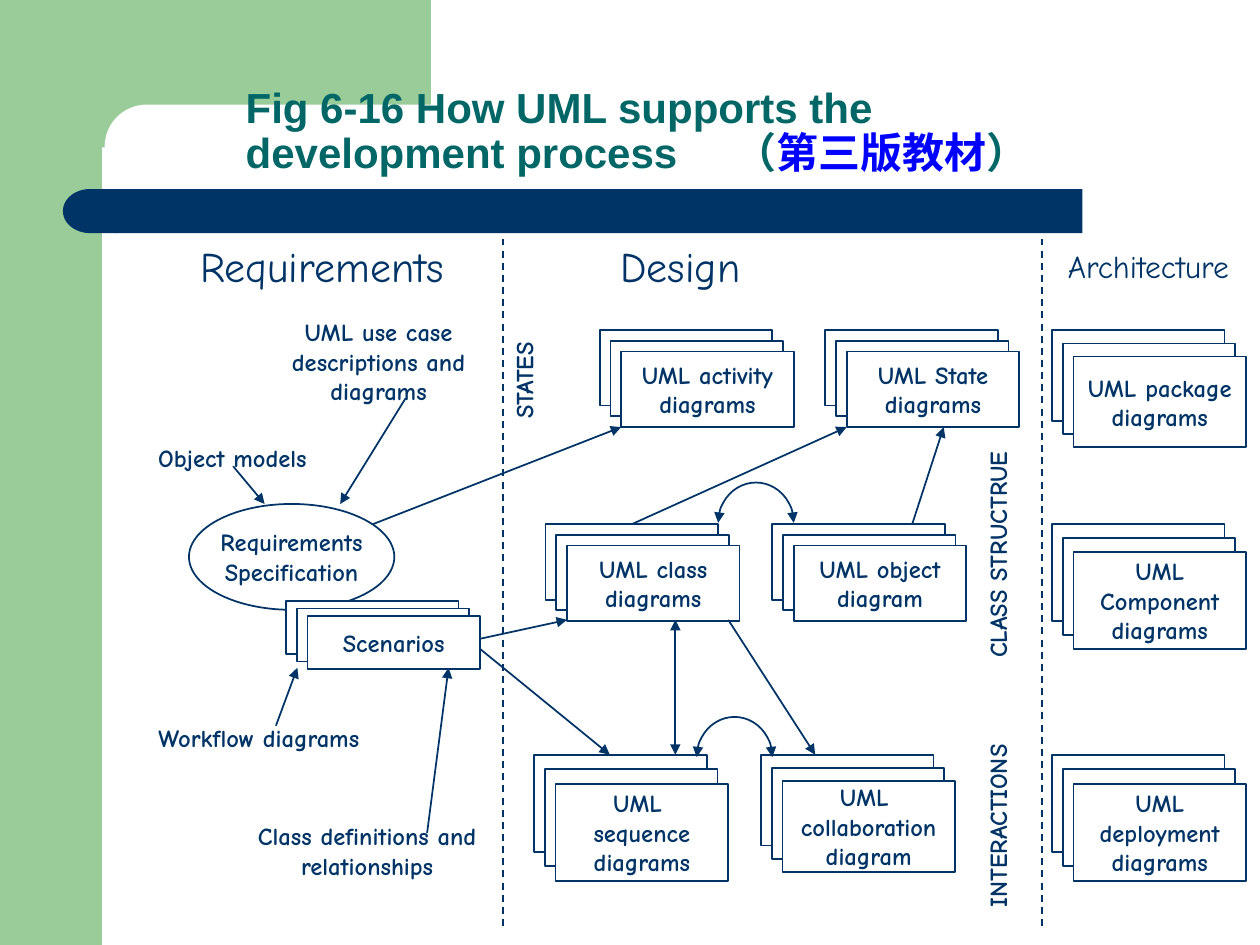
import pptx
import pptx.util
import pptx.dml.color
import pptx.enum.dml
import pptx.enum.shapes
import pptx.enum.text
import pptx.oxml.ns
import lxml.etree

Inches, Pt = pptx.util.Inches, pptx.util.Pt
KIND = pptx.enum.shapes.MSO_SHAPE
ALIGN = pptx.enum.text.PP_ALIGN
ANCHOR = pptx.enum.text.MSO_ANCHOR
qn = pptx.oxml.ns.qn
NAVY, GREEN, TEAL, WHITE, BLUE = "003366", "99CC99", "006666", "FFFFFF", "0000FF"
TOP = 1.7


def tint(target, code):
    """Set a colour from a hex string."""
    target.rgb = pptx.dml.color.RGBColor.from_string(code)


def put(slide, kind, box, fill=WHITE, line=NAVY):
    """Add a preset shape without shadow."""
    shape = slide.shapes.add_shape(kind, *map(Inches, box))
    shape.shadow.inherit = False
    if fill:
        shape.fill.solid()
        tint(shape.fill.fore_color, fill)
    else:
        shape.fill.background()
    if line:
        tint(shape.line.color, line)
        shape.line.width = Pt(1)
    else:
        shape.line.fill.background()
    return shape


def write(frame, lines, size=14, bold=True):
    """Fill a text frame with centred paragraphs."""
    for num, words in enumerate(lines):
        para = frame.add_paragraph() if num else frame.paragraphs[0]
        para.alignment = ALIGN.CENTER
        run = para.add_run()
        run.text = words
        run.font.name, run.font.size, run.font.bold = "Comic Neue", Pt(size), bold
        tint(run.font.color, NAVY)


def label(slide, box, words, size=14, bold=True):
    """Add a wrapped text box."""
    frame = slide.shapes.add_textbox(*map(Inches, box)).text_frame
    frame.word_wrap = True
    write(frame, [words], size, bold)


def upright(slide, box, words):
    """Add a label that reads from bottom to top."""
    shape = slide.shapes.add_textbox(*map(Inches, box))
    shape.rotation = 180
    shape.text_frame.word_wrap = False
    shape.text_frame._txBody.bodyPr.set("vert", "eaVert")
    write(shape.text_frame, [words])


def node(slide, kind, box, lines):
    """Add an outlined shape with centred lines of text."""
    shape = put(slide, kind, box)
    frame = shape.text_frame
    frame.word_wrap = False
    frame.vertical_anchor = ANCHOR.MIDDLE
    write(frame, lines)


def stack(slide, left, top, high, drop, lines):
    """Add three shifted cards, text on the front one; return the back one."""
    back = put(slide, KIND.RECTANGLE, (left, top, 1.37, high))
    put(slide, KIND.RECTANGLE, (left + 0.17 / 2, top + drop / 2, 1.37, high))
    node(slide, KIND.RECTANGLE, (left + 0.17, top + drop, 1.37, high), lines)
    return back


def tips(shape, *ends):
    """Put triangle arrowheads on the given ends of a line."""
    line = shape._element.spPr.find(qn("a:ln"))
    for end in ends:
        lxml.etree.SubElement(line, qn(f"a:{end}")).set("type", "triangle")


def link(slide, x1, y1, x2, y2, ends=("tailEnd",), dash=False):
    """Add a straight line with arrowheads or dashes."""
    line = slide.shapes.add_connector(
        pptx.enum.shapes.MSO_CONNECTOR.STRAIGHT, *map(Inches, (x1, y1, x2, y2)))
    tint(line.line.color, NAVY)
    line.line.width = Pt(1)
    if dash:
        line.line.dash_style = pptx.enum.dml.MSO_LINE.DASH
    tips(line, *ends)
    lxml.etree.SubElement(line._element.spPr, qn("a:effectLst"))
    return line


def arch(slide, left, top):
    """Add a half circle with an arrowhead at both ends."""
    arc = put(slide, KIND.ARC, (left, top, 0.6, 0.64), None)
    arc.adjustments[0], arc.adjustments[1] = 108, 0
    tips(arc, "headEnd", "tailEnd")


def border(slide, left, top):
    """Add the dashed line at the left of a region."""
    link(slide, left, top, left, top + 5.67, (), True)


def backdrop(slide, left, top):
    """Draw the green corner and the navy bar."""
    for kind, x, y, wide, high, fill in (
            (KIND.RECTANGLE, 0, 0, 0.81, 7.5, GREEN),
            (KIND.RECTANGLE, 0.73, 0, 2.69, 1.17, GREEN),
            (KIND.ROUNDED_RECTANGLE, 0.83, 0.83, 5.58, 0.67, WHITE),
            (KIND.RECTANGLE, 0.92, 1.5, 7.67, 0.35, NAVY),
            (KIND.FLOWCHART_DELAY, 0.5, 1.5, 0.43, 0.35, NAVY)):
        shape = put(slide, kind, (left + x, top + y, wide, high), fill, None)
        if kind == KIND.ROUNDED_RECTANGLE:
            shape.adjustments[0] = 0.5
        if kind == KIND.FLOWCHART_DELAY:
            shape._element.spPr.find(qn("a:xfrm")).set("flipH", "1")


def heading(slide, left, top, wide, high):
    """Move the title placeholder to the front and fill it."""
    title = slide.shapes.title
    slide.shapes._spTree.append(title._element)
    title.left, title.top, title.width, title.height = map(
        Inches, (left, top, wide, high))
    frame = title.text_frame
    frame.word_wrap = True
    frame.auto_size = pptx.enum.text.MSO_AUTO_SIZE.NONE
    frame.vertical_anchor = ANCHOR.BOTTOM
    para = frame.paragraphs[0]
    para.alignment, para.line_spacing = ALIGN.LEFT, 0.9
    tabs = lxml.etree.SubElement(para._p.get_or_add_pPr(), qn("a:tabLst"))
    stop = lxml.etree.SubElement(tabs, qn("a:tab"))
    stop.set("pos", str(Inches(3.88)))
    stop.set("algn", "l")
    for words, code in (
            ("Fig 6-16 How UML supports the development process\t（", TEAL),
            ("第三版教材", BLUE), ("）", TEAL)):
        run = para.add_run()
        run.text = words
        run.font.name, run.font.size, run.font.bold = "Arial", Pt(24), True
        tint(run.font.color, code)


def needs(slide, left, top):
    """Draw the requirements region."""
    label(slide, (left + 0.48, top + 0.16, 2.35, 0.5), "Requirements", 24, False)
    node(slide, KIND.OVAL, (left + 0.6, top + 2.3, 1.63, 0.84),
         ["Requirements", "Specification"])
    stack(slide, left + 1.37, top + 3.07, 0.42, 0.12, ["Scenarios"])
    for x, y, wide, high, words in (
            (0.09, 1.77, 1.71, 0.31, "Object models"),
            (1.29, 0.77, 1.63, 0.73, "UML use case descriptions and diagrams"),
            (0, 3.99, 2.31, 0.31, "Workflow diagrams"),
            (0.86, 4.77, 2.31, 0.52, "Class definitions and relationships")):
        label(slide, (left + x, top + y, wide, high), words)
    for x1, y1, x2, y2 in ((2.32, 1.46, 1.8, 2.3), (0.95, 2, 1.2, 2.3),
                           (1.29, 4.06, 1.46, 3.6), (2.49, 4.91, 2.66, 3.6)):
        link(slide, left + x1, top + y1, left + x2, top + y2)


def design(slide, left, top):
    """Draw the design region."""
    border(slide, left, top)
    label(slide, (left + 0.34, top + 0.16, 2.14, 0.37), "Design", 24, False)
    cards = {lines: stack(slide, left + x, top + y, high, drop, lines)
             for x, y, high, drop, lines in (
                 (0.77, 0.92, 0.6, 0.17, ("UML activity", "diagrams")),
                 (2.56, 0.92, 0.6, 0.17, ("UML State", "diagrams")),
                 (0.34, 2.46, 0.6, 0.17, ("UML class", "diagrams")),
                 (2.14, 2.46, 0.6, 0.17, ("UML object", "diagram")),
                 (0.25, 4.29, 0.77, 0.23, ("UML ", "sequence", "diagrams")),
                 (2.05, 4.29, 0.72, 0.21, ("UML ", "collaboration", "diagram")))}
    for x, y, high, words in ((0, 0.89, 0.83, "STATES"),
                              (3.76, 1.77, 1.85, "CLASS STRUCTRUE"),
                              (3.76, 4.04, 1.56, "INTERACTIONS")):
        upright(slide, (left + x, top + y, 0.45, high), words)
    rise = link(slide, left + 1.02, top + 2.46, left + 2.73, top + 1.69)
    rise.begin_connect(cards["UML class", "diagrams"], 0)
    link(slide, left + 3.25, top + 2.46, left + 3.5, top + 1.69)
    link(slide, left + 1.79, top + 3.22, left + 2.48, top + 4.29)
    link(slide, left + 1.37, top + 3.22, left + 1.37, top + 4.29,
         ("headEnd", "tailEnd"))
    arch(slide, left + 1.54, top + 3.99)
    arch(slide, left + 1.71, top + 2.13)


def system(slide, left, top):
    """Draw the architecture region."""
    border(slide, left, top)
    label(slide, (left - 0.04, top + 0.21, 1.77, 0.4), "Architecture", 18, False)
    for y, high, drop, lines in (
            (0.92, 0.72, 0.21, ["UML package", "diagrams"]),
            (2.46, 0.77, 0.22, ["UML", "Component", "diagrams"]),
            (4.29, 0.77, 0.23, ["UML", "deployment", "diagrams"])):
        stack(slide, left + 0.08, top + y, high, drop, lines)


def flows(slide, left, top):
    """Draw the arrows from requirements to design."""
    for x1, y1, x2, y2 in ((2.06, 2.46, 4.03, 1.69), (2.91, 3.37, 3.6, 3.22),
                           (2.91, 3.45, 3.94, 4.29)):
        link(slide, left + x1, top + y1, left + x2, top + y2)


def main():
    """Build and save the slide."""
    deck = pptx.Presentation()
    deck.slide_width, deck.slide_height = Inches(10), Inches(7.5)
    slide = deck.slides.add_slide(deck.slide_layouts[5])
    backdrop(slide, 0, 0)
    heading(slide, 1.85, 0.63, 7.24, 0.83)
    needs(slide, 0.9, TOP)
    design(slide, 3.99, TOP)
    system(slide, 8.27, TOP)
    flows(slide, 0.9, TOP)
    deck.save("out.pptx")


if __name__ == "__main__":
    main()
